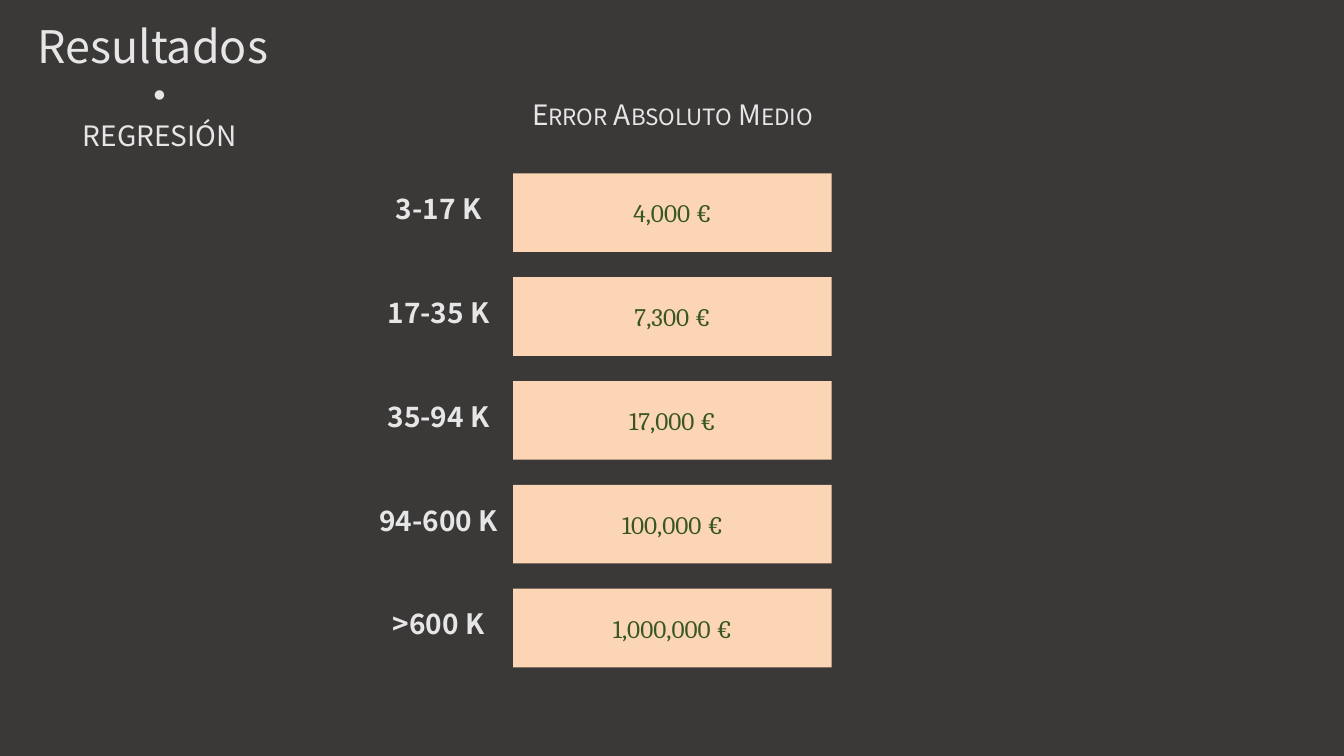
from pptx import Presentation
from pptx.dml.color import RGBColor
from pptx.enum.shapes import MSO_SHAPE
from pptx.enum.text import MSO_ANCHOR, MSO_AUTO_SIZE, PP_ALIGN
from pptx.util import Inches, Pt

# Content
TITLE_LINES = [("Resultados", 32, PP_ALIGN.LEFT),
               ("·", 32, PP_ALIGN.CENTER),
               ("REGRESIÓN", 20, PP_ALIGN.CENTER)]
HEADING = "Error Absoluto Medio"
ERRORS = [("3-17 K", "4,000 €"),
          ("17-35 K", "7,300 €"),
          ("35-94 K", "17,000 €"),
          ("94-600 K", "100,000 €"),
          (">600 K", "1,000,000 €")]

# Style
BACKGROUND = RGBColor(0x3B, 0x38, 0x38)
LIGHT = RGBColor(0xE7, 0xE6, 0xE6)
PEACH = RGBColor(0xFC, 0xD5, 0xB5)
GREEN = RGBColor(0x38, 0x56, 0x23)
SANS, SERIF = "Noto Sans CJK SC", "Cambria"

# Layout, in inches
LABEL_LEFT, LABEL_WIDTH, LABEL_HEIGHT = 3.61, 1.48, 0.43
BAR_LEFT, BAR_WIDTH, BAR_HEIGHT = LABEL_LEFT + LABEL_WIDTH, 3.16, 0.78
FIRST_BAR_TOP, ROW_STEP, LABEL_DROP = 1.72, 1.03, 0.17


def style(target, size, color=LIGHT, name=SANS, bold=False):
    font = target.font
    font.size, font.name, font.bold = Pt(size), name, bold
    font.color.rgb = color


def add_text(left, top, width, height):
    box = slide.shapes.add_textbox(Inches(left), Inches(top), Inches(width), Inches(height))
    box.text_frame.word_wrap = True
    para = box.text_frame.paragraphs[0]
    para.alignment, para.line_spacing = PP_ALIGN.CENTER, 0.9
    return para


deck = Presentation()
deck.slide_width, deck.slide_height = Inches(13.33), Inches(7.5)
slide = deck.slides.add_slide(deck.slide_layouts[5])
slide.background.fill.solid()
slide.background.fill.fore_color.rgb = BACKGROUND

# Title
title = slide.shapes.title
title.left, title.top = Inches(0.27), Inches(0.2)
title.width, title.height = Inches(2.63), Inches(1.5)
frame = title.text_frame
frame.text = "\n".join(text for text, _, _ in TITLE_LINES)
frame.vertical_anchor, frame.auto_size = MSO_ANCHOR.TOP, MSO_AUTO_SIZE.NONE
for para, (_, size, alignment) in zip(frame.paragraphs, TITLE_LINES):
    para.alignment, para.line_spacing = alignment, 0.9
    style(para, size)

# Column heading in small capitals: large initials, smaller remainder
para = add_text(BAR_LEFT, 0.96, BAR_WIDTH, 0.76)
for index, word in enumerate(HEADING.upper().split()):
    initial = word[0] if index == 0 else " " + word[0]
    for text, size in ((initial, 20), (word[1:], 16)):
        span = para.add_run()
        span.text = text
        style(span, size)

# Price range labels and error bars
for row, (price_range, error) in enumerate(ERRORS):
    top = FIRST_BAR_TOP + row * ROW_STEP
    label = add_text(LABEL_LEFT, top + LABEL_DROP, LABEL_WIDTH, LABEL_HEIGHT)
    label.text = price_range
    style(label, 20, bold=True)

    bar = slide.shapes.add_shape(MSO_SHAPE.RECTANGLE, Inches(BAR_LEFT), Inches(top),
                                 Inches(BAR_WIDTH), Inches(BAR_HEIGHT))
    bar.shadow.inherit = False
    bar.fill.solid()
    bar.fill.fore_color.rgb = PEACH
    bar.line.fill.background()
    bar.text_frame.vertical_anchor = MSO_ANCHOR.MIDDLE
    para = bar.text_frame.paragraphs[0]
    para.text, para.alignment = error, PP_ALIGN.CENTER
    style(para, 18, GREEN, SERIF)

deck.save("out.pptx")
